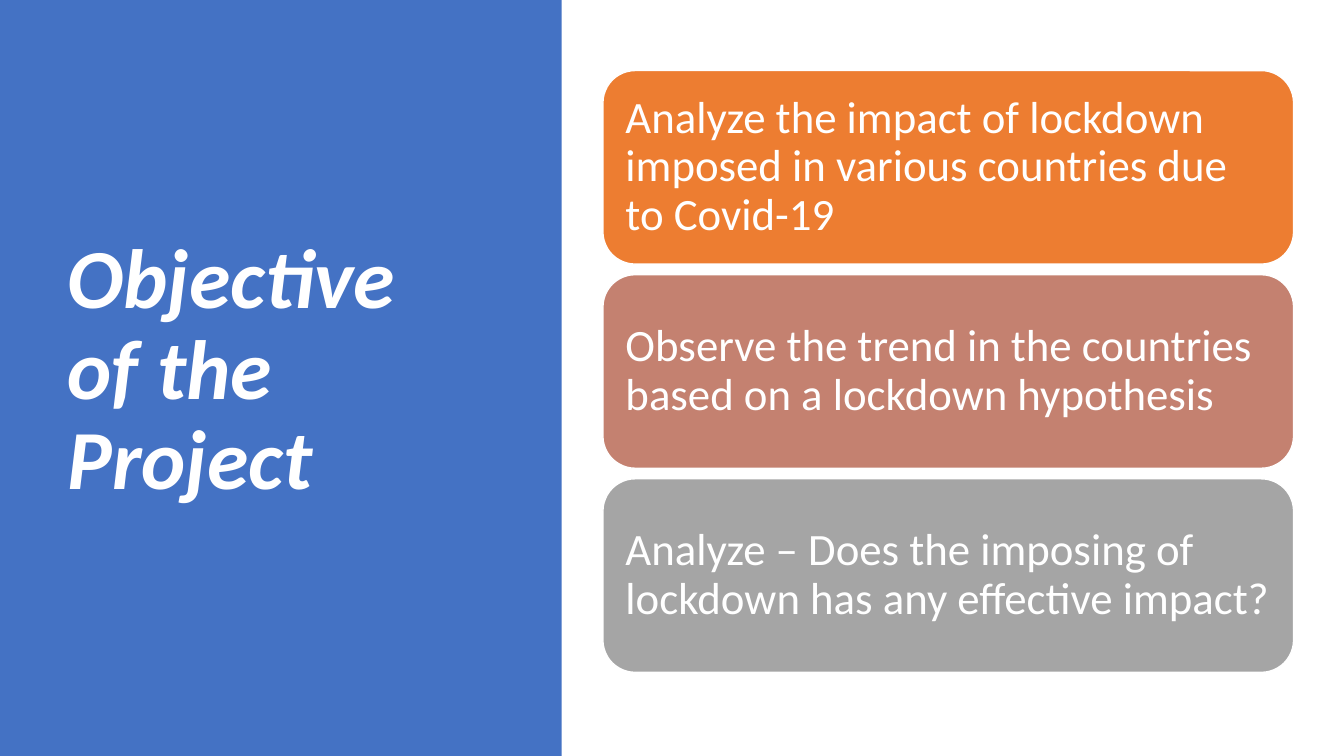
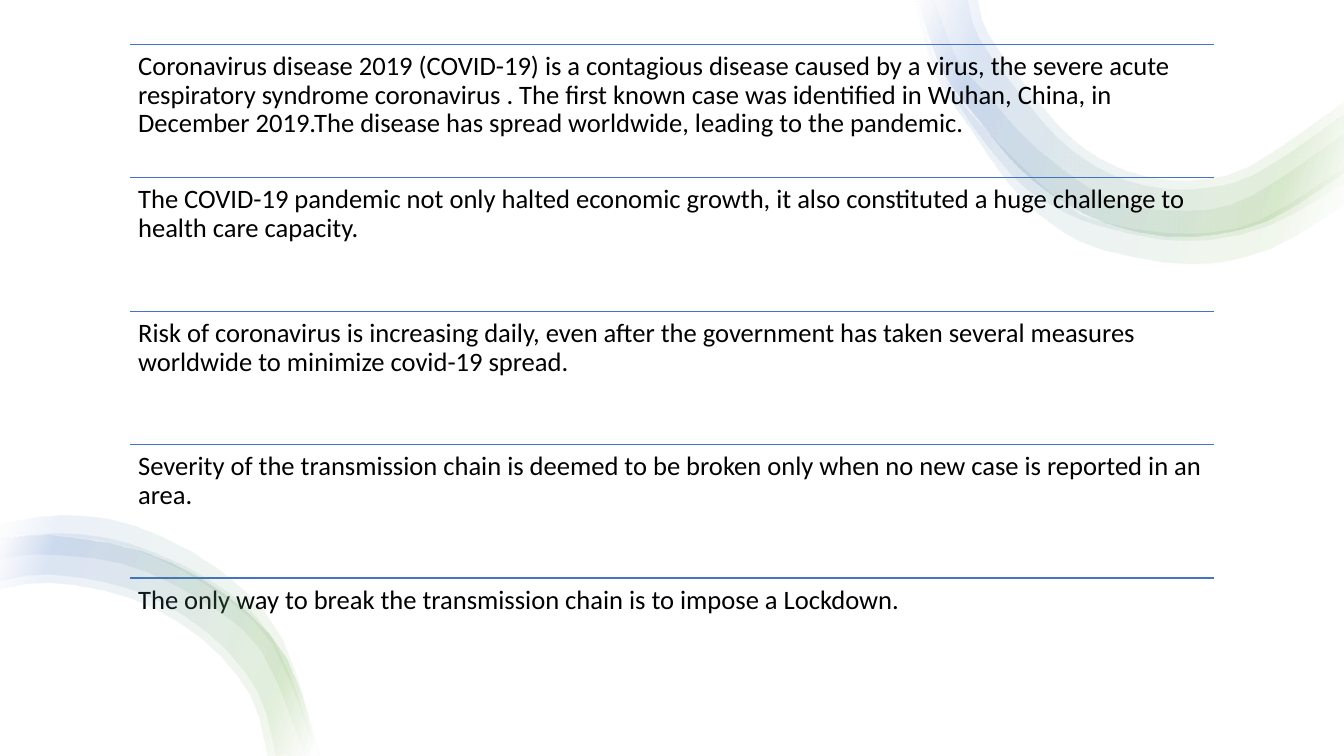
import lxml.etree
import pptx
import pptx.dml.color
import pptx.enum.shapes
import pptx.enum.text
import pptx.oxml
import pptx.oxml.ns
import pptx.util

PX = 9144
SLIDE_W, SLIDE_H = 1333, 750
FONT = "Calibri"
BLUE, ORANGE, ROSE, GRAY = "4472C4", "ED7D31", "C48170", "A5A5A5"
GREEN, WHITE, BLACK = "70AD47", "FFFFFF", "000000"

TITLE = "Objective of the Project"
OBJECTIVES = [
    ("Analyze the impact of lockdown imposed in various countries due to Covid-19", ORANGE),
    ("Observe the trend in the countries based on a lockdown hypothesis", ROSE),
    ("Analyze – Does the imposing of lockdown has any effective impact?", GRAY),
]
FACTS = [
    "Coronavirus disease 2019 (COVID-19) is a contagious disease caused by a virus, the severe acute "
    "respiratory syndrome coronavirus . The first known case was identified in Wuhan, China, in "
    "December 2019.The disease has spread worldwide, leading to the pandemic.",
    "The COVID-19 pandemic not only halted economic growth, it also constituted a huge challenge to "
    "health care capacity.",
    "Risk of coronavirus is increasing daily, even after the government has taken several measures "
    "worldwide to minimize covid-19 spread.",
    "Severity of the transmission chain is deemed to be broken only when no new case is reported in an area.",
    "The only way to break the transmission chain is to impose a Lockdown.",
]

RIBBON_STOPS = [(2, WHITE), (16, GREEN), (85, BLUE), (100, WHITE)]
RIBBON_ALPHA = 10

TOP_OUTER = [(911, 0), (933, 68), (973, 122), (1013, 169), (1060, 204), (1115, 227), (1181, 235),
             (1257, 219), (1333, 171)]
TOP_RIBBONS = [
    ([(907, 0), (928, 74), (963, 128), (1001, 182), (1041, 220), (1091, 246), (1183, 261), (1261, 245),
      (1333, 202)],
     [(910, 0), (933, 71), (981, 132), (1055, 201), (1101, 221), (1176, 231), (1248, 218), (1333, 165)]),
    ([(911, 0), (943, 91), (1002, 172), (1044, 204), (1094, 225), (1174, 239), (1255, 225), (1333, 181)],
     [(927, 0), (949, 58), (980, 95), (1029, 148), (1104, 199), (1180, 209), (1241, 194), (1333, 132)]),
    (TOP_OUTER,
     [(960, 0), (971, 38), (1013, 95), (1049, 137), (1088, 166), (1131, 183), (1181, 188), (1244, 173),
      (1333, 113)]),
    (TOP_OUTER,
     [(970, 0), (980, 34), (1021, 90), (1055, 130), (1090, 157), (1132, 174), (1181, 179), (1239, 165),
      (1333, 101)]),
]

BOTTOM_OUTER = [(0, 536), (49, 531), (141, 547), (222, 589), (284, 653), (316, 750)]
BOTTOM_RIBBONS = [
    (BOTTOM_OUTER, [(0, 585), (49, 578), (128, 593), (199, 633), (248, 690), (265, 750)]),
    (BOTTOM_OUTER, [(0, 577), (49, 570), (131, 585), (205, 627), (255, 686), (273, 750)]),
    ([(0, 534), (61, 529), (128, 539), (209, 576), (270, 633), (316, 750)],
     [(0, 555), (39, 550), (121, 559), (197, 594), (259, 646), (302, 750)]),
    ([(0, 521), (61, 512), (133, 522), (218, 566), (280, 634), (317, 750)],
     [(0, 536), (39, 531), (126, 543), (205, 581), (270, 639), (314, 750)]),
]


def emu(*lengths):
    return [pptx.util.Emu(round(v * PX)) for v in lengths]


def rgb(color):
    return pptx.dml.color.RGBColor.from_string(color)


def set_text(sp, text, size, color, inset, anchor, bold=False, italic=False):
    tf = sp.text_frame
    tf.word_wrap = True
    tf.vertical_anchor = anchor
    tf.margin_left = tf.margin_right = tf.margin_top = tf.margin_bottom = emu(inset)[0]
    tf.text = text
    p = tf.paragraphs[0]
    p.alignment = pptx.enum.text.PP_ALIGN.LEFT
    p.line_spacing = 0.9
    font = p.runs[0].font
    font.name, font.size, font.bold, font.italic = FONT, pptx.util.Pt(size), bold, italic
    font.color.rgb = rgb(color)


def add_box(s, kind, box, fill, line=None):
    sp = s.shapes.add_shape(kind, *emu(*box))
    sp.shadow.inherit = False
    sp.fill.solid()
    sp.fill.fore_color.rgb = rgb(fill)
    if line:
        sp.line.color.rgb = rgb(line)
        sp.line.width = pptx.util.Pt(1)
    else:
        sp.line.fill.background()
    return sp


def add_rule(s, left, top, width):
    line = s.shapes.add_connector(
        pptx.enum.shapes.MSO_CONNECTOR.STRAIGHT, *emu(left, top, left + width, top))
    line.line.color.rgb = rgb(BLUE)
    line.line.width = pptx.util.Pt(1)
    lxml.etree.SubElement(line._element.spPr, pptx.oxml.ns.qn("a:effectLst"))


def smooth(points, steps=3):
    padded = [points[0], *points, points[-1]]
    curve = []
    for a, b, c, d in zip(padded, padded[1:], padded[2:], padded[3:]):
        for t in (i / steps for i in range(steps)):
            curve.append(tuple(
                b[k] + t * (c[k] - a[k]) / 2
                + t ** 2 * (2 * a[k] - 5 * b[k] + 4 * c[k] - d[k]) / 2
                + t ** 3 * (3 * b[k] - a[k] - 3 * c[k] + d[k]) / 2
                for k in (0, 1)))
    return curve + [points[-1]]


def add_ribbon(s, outer, inner):
    outline = [emu(*pt) for pt in smooth(outer) + smooth(inner)[::-1]]
    builder = s.shapes.build_freeform(*outline[0])
    builder.add_line_segments(outline[1:], close=True)
    sp = builder.convert_to_shape()
    sp.shadow.inherit = False
    sp.line.fill.background()
    sp.fill.gradient()
    sp.fill.gradient_angle = 160
    stops = sp._element.spPr.find(".//" + pptx.oxml.ns.qn("a:gsLst"))
    for stop in list(stops):
        stops.remove(stop)
    for pos, color in RIBBON_STOPS:
        stops.append(pptx.oxml.parse_xml(
            f'<a:gs {pptx.oxml.ns.nsdecls("a")} pos="{pos * 1000}"><a:srgbClr val="{color}">'
            f'<a:alpha val="{RIBBON_ALPHA * 1000}"/></a:srgbClr></a:gs>'))


def build_objectives(s):
    shape = pptx.enum.shapes.MSO_SHAPE
    middle = pptx.enum.text.MSO_ANCHOR.MIDDLE
    add_box(s, shape.RECTANGLE, (0, 0, 557, SLIDE_H), BLUE)
    title = s.shapes.add_textbox(*emu(57, 68, 410, 602))
    set_text(title, TITLE, 60, WHITE, 10, middle, bold=True, italic=True)
    left, top, width, height, bottom = 598, 70, 685, 192, 667
    pitch = (bottom - top - height) / (len(OBJECTIVES) - 1)
    for i, (text, color) in enumerate(OBJECTIVES):
        card = add_box(s, shape.ROUNDED_RECTANGLE, (left, top + i * pitch, width, height), color, WHITE)
        set_text(card, text, 32, WHITE, 13, middle)


def build_facts(s):
    for ribbon in TOP_RIBBONS:
        add_ribbon(s, *ribbon)
    left, top, width, bottom = 129, 44, 1075, 706
    height = (bottom - top) / len(FACTS)
    for i, text in enumerate(FACTS):
        y = top + i * height
        add_rule(s, left, y, width)
        box = s.shapes.add_textbox(*emu(left, y, width, height))
        set_text(box, text, 19, BLACK, 8, pptx.enum.text.MSO_ANCHOR.TOP)
    for ribbon in BOTTOM_RIBBONS:
        add_ribbon(s, *ribbon)


def main():
    prs = pptx.Presentation()
    prs.slide_width, prs.slide_height = emu(SLIDE_W, SLIDE_H)
    for build in (build_objectives, build_facts):
        build(prs.slides.add_slide(prs.slide_layouts[6]))
    prs.save("out.pptx")


if __name__ == "__main__":
    main()
